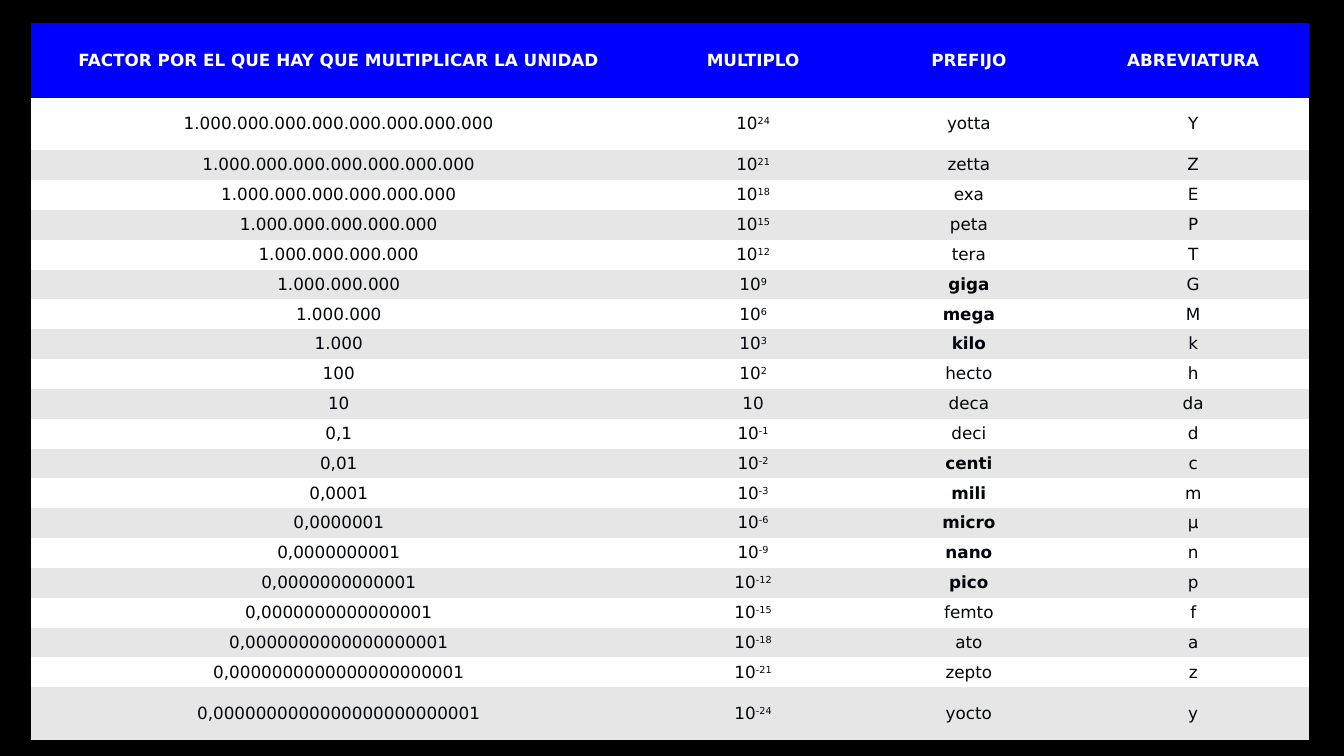
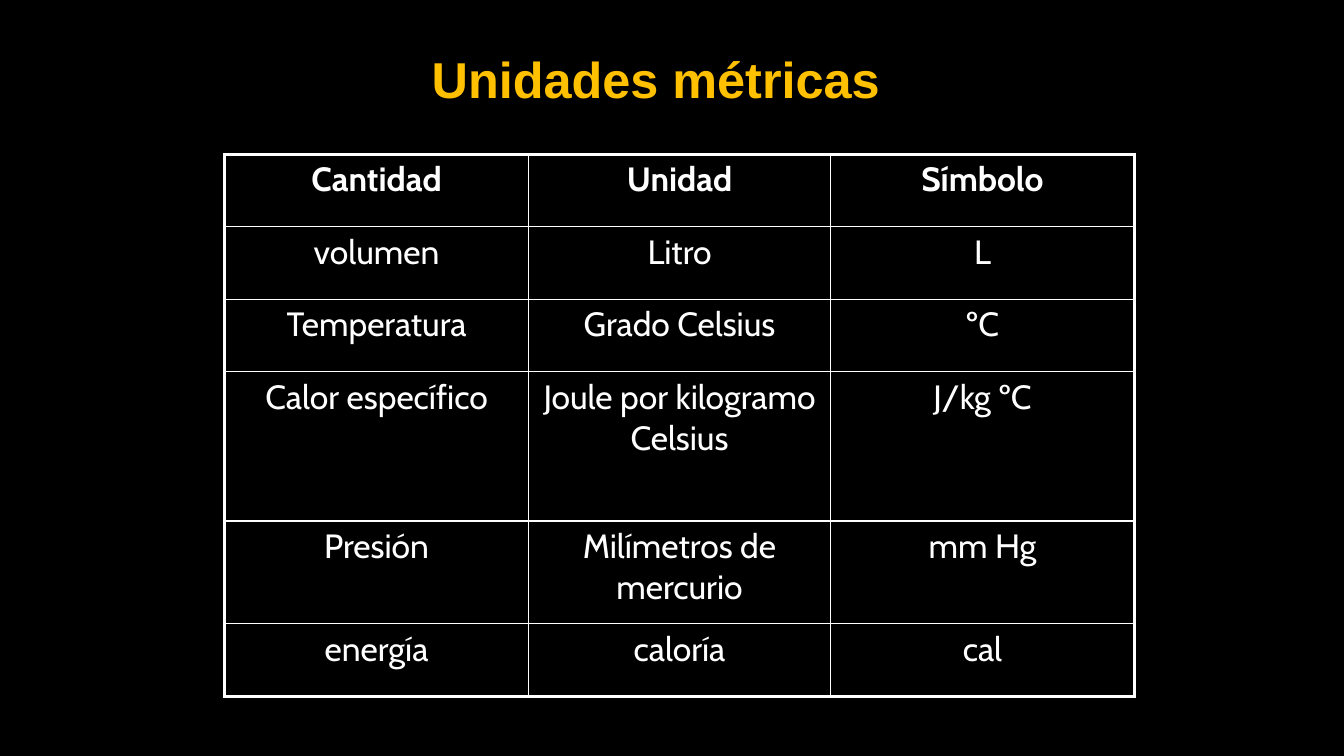
from dataclasses import dataclass

from lxml import etree
from pptx import Presentation
from pptx import util as u
from pptx.dml.color import RGBColor
from pptx.enum import text
from pptx.oxml import ns

COLORS = {
    "background": "000000",
    "header": "0000FF",
    "band": "E6E6E6",
    "light": "FFFFFF",
    "ink": "02040B",
    "title": "FFC000",
}
NO_STYLE = "{2D5ABB26-0587-4C30-8999-92F81FD0307C}"
TABLE_FLAGS = {"first_row": False, "horz_banding": False}
THIN, THICK = 1, 2.25


@dataclass(frozen=True)
class TextStyle:
    font: str
    size: float
    color: str
    bold: bool = False


@dataclass(frozen=True)
class TableLayout:
    left: float
    top: float
    widths: tuple[float, ...]
    heights: tuple[float, ...]
    margin_x: float
    margin_y: float
    anchor: text.MSO_ANCHOR


@dataclass(frozen=True)
class Prefix:
    exponent: int
    name: str
    symbol: str
    bold: bool = False

    @property
    def factor(self) -> str:
        if self.exponent > 0:
            return f"{10 ** self.exponent:,}".replace(",", ".")
        zeros = -self.exponent
        if zeros < 3:
            zeros -= 1
        return "0," + "0" * zeros + "1"


PREFIX_HEADER = TextStyle("DejaVu Sans", 12, "light", True)
PREFIX_BODY = TextStyle("DejaVu Sans", 12, "ink")
PREFIX_STRONG = TextStyle("DejaVu Sans", 12, "ink", True)
UNIT_HEADER = TextStyle("Cabin", 24, "light", True)
UNIT_BODY = TextStyle("Cabin", 24, "light")
TITLE = TextStyle("Arial", 36, "title", True)

PREFIX_HEADINGS = (
    "FACTOR POR EL QUE HAY QUE MULTIPLICAR LA UNIDAD",
    "MULTIPLO",
    "PREFIJO",
    "ABREVIATURA",
)
PREFIXES = (
    Prefix(24, "yotta", "Y"),
    Prefix(21, "zetta", "Z"),
    Prefix(18, "exa", "E"),
    Prefix(15, "peta", "P"),
    Prefix(12, "tera", "T"),
    Prefix(9, "giga", "G", True),
    Prefix(6, "mega", "M", True),
    Prefix(3, "kilo", "k", True),
    Prefix(2, "hecto", "h"),
    Prefix(1, "deca", "da"),
    Prefix(-1, "deci", "d"),
    Prefix(-2, "centi", "c", True),
    Prefix(-3, "mili", "m", True),
    Prefix(-6, "micro", "μ", True),
    Prefix(-9, "nano", "n", True),
    Prefix(-12, "pico", "p", True),
    Prefix(-15, "femto", "f"),
    Prefix(-18, "ato", "a"),
    Prefix(-21, "zepto", "z"),
    Prefix(-24, "yocto", "y"),
)
UNITS = (
    ("Cantidad", "Unidad", "Símbolo"),
    ("volumen", "Litro", "L"),
    ("Temperatura", "Grado Celsius", "ºC"),
    ("Calor específico", "Joule por kilogramo Celsius", "J/kg ºC"),
    ("Presión", "Milímetros de mercurio", "mm Hg"),
    ("energía", "caloría", "cal"),
)

# Inner rows share what the header and the two taller outer rows leave.
HEADER_HEIGHT, OUTER_HEIGHT, PREFIX_HEIGHT = 0.74, 0.52, 7.11
INNER_COUNT = len(PREFIXES) - 2
INNER_HEIGHT = (PREFIX_HEIGHT - HEADER_HEIGHT - 2 * OUTER_HEIGHT) / INNER_COUNT
PREFIX_LAYOUT = TableLayout(
    0.31, 0.23, (6.1, 2.12, 2.16, 2.29),
    (HEADER_HEIGHT, OUTER_HEIGHT, *[INNER_HEIGHT] * INNER_COUNT, OUTER_HEIGHT),
    0.05, 0.02, text.MSO_ANCHOR.MIDDLE,
)
UNIT_LAYOUT = TableLayout(
    2.23, 1.53, (3.01, 3, 3.01), (0.72, 0.72, 0.72, 1.48, 1.02, 0.72),
    0.1, 0.05, text.MSO_ANCHOR.TOP,
)


def rgb(name: str) -> RGBColor:
    return RGBColor.from_string(COLORS[name])


def apply(target, values: dict) -> None:
    for attribute, value in values.items():
        setattr(target, attribute, value)


def add_slide(deck):
    slide = deck.slides.add_slide(deck.slide_layouts[6])
    slide.background.fill.solid()
    slide.background.fill.fore_color.rgb = rgb("background")
    return slide


def add_run(paragraph, words: str, style: TextStyle, superscript: bool = False) -> None:
    paragraph.alignment = text.PP_ALIGN.CENTER
    run = paragraph.add_run()
    run.text = words
    apply(run.font, {"name": style.font, "size": u.Pt(style.size), "bold": style.bold})
    run.font.color.rgb = rgb(style.color)
    if superscript:
        run.font._element.set("baseline", "30000")


def add_grid(slide, layout: TableLayout):
    """Add an unstyled table with the layout's sizes and cell margins."""
    frame = slide.shapes.add_table(
        len(layout.heights), len(layout.widths),
        u.Inches(layout.left), u.Inches(layout.top),
        u.Inches(sum(layout.widths)), u.Inches(sum(layout.heights)),
    )
    table = frame.table
    apply(table, TABLE_FLAGS)
    table._tbl.tblPr.find(ns.qn("a:tableStyleId")).text = NO_STYLE
    for column, width in zip(table.columns, layout.widths):
        column.width = u.Inches(width)
    for row, height in zip(table.rows, layout.heights):
        row.height = u.Inches(height)
    margin_x, margin_y = u.Inches(layout.margin_x), u.Inches(layout.margin_y)
    cell_format = {
        "margin_left": margin_x, "margin_right": margin_x,
        "margin_top": margin_y, "margin_bottom": margin_y,
        "vertical_anchor": layout.anchor,
    }
    for cell in table.iter_cells():
        apply(cell, cell_format)
    return table


def set_borders(cell, widths: dict[str, float]) -> None:
    """Draw the cell's sides; they must come before its fill in the XML."""
    properties = cell._tc.get_or_add_tcPr()
    for side, width in widths.items():
        line = etree.SubElement(properties, ns.qn(f"a:{side}"), w=str(u.Pt(width)))
        fill = etree.SubElement(line, ns.qn("a:solidFill"))
        etree.SubElement(fill, ns.qn("a:srgbClr"), val=COLORS["light"])


def fill_cell(cell, color: str) -> None:
    cell.fill.solid()
    cell.fill.fore_color.rgb = rgb(color)


def draw_prefixes(deck) -> None:
    table = add_grid(add_slide(deck), PREFIX_LAYOUT)
    for column, heading in enumerate(PREFIX_HEADINGS):
        cell = table.cell(0, column)
        fill_cell(cell, "header")
        add_run(cell.text_frame.paragraphs[0], heading, PREFIX_HEADER)
    for row, prefix in enumerate(PREFIXES, start=1):
        for column, words in enumerate((prefix.factor, "10", prefix.name, prefix.symbol)):
            cell = table.cell(row, column)
            fill_cell(cell, "light" if row % 2 else "band")
            strong = prefix.bold and column == 2
            paragraph = cell.text_frame.paragraphs[0]
            add_run(paragraph, words, PREFIX_STRONG if strong else PREFIX_BODY)
            if column == 1 and prefix.exponent != 1:
                add_run(paragraph, str(prefix.exponent), PREFIX_BODY, superscript=True)


def draw_units(deck) -> None:
    slide = add_slide(deck)
    table = add_grid(slide, UNIT_LAYOUT)
    last_row, last_column = len(UNITS) - 1, len(UNITS[0]) - 1
    for row, entries in enumerate(UNITS):
        for column, words in enumerate(entries):
            cell = table.cell(row, column)
            outer = {"lnL": column == 0, "lnR": column == last_column,
                     "lnT": row == 0, "lnB": row == last_row}
            set_borders(cell, {side: THICK if edge else THIN for side, edge in outer.items()})
            cell.fill.background()
            style = UNIT_BODY if row else UNIT_HEADER
            add_run(cell.text_frame.paragraphs[0], words, style)
    title = slide.shapes.add_textbox(
        u.Inches(3.08), u.Inches(0.42), u.Inches(6.85), u.Inches(0.71))
    apply(title.text_frame, {"word_wrap": True, "vertical_anchor": text.MSO_ANCHOR.MIDDLE})
    add_run(title.text_frame.paragraphs[0], "Unidades métricas", TITLE)


def main() -> None:
    deck = Presentation()
    apply(deck, {"slide_width": u.Inches(13.33), "slide_height": u.Inches(7.5)})
    draw_prefixes(deck)
    draw_units(deck)
    deck.save("out.pptx")


if __name__ == "__main__":
    main()
